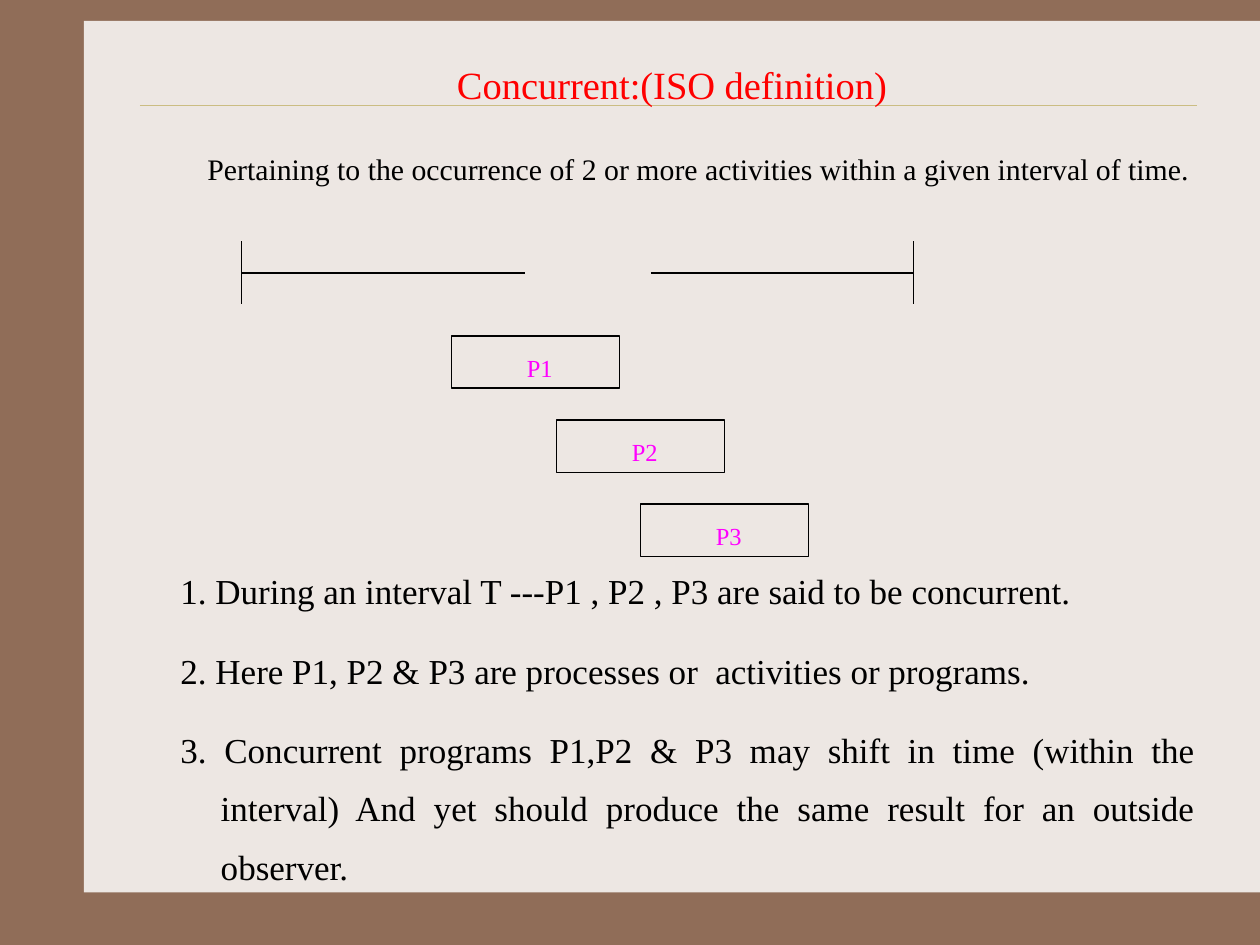
from pptx import Presentation
from pptx import util as u
from pptx.dml.color import RGBColor
from pptx.enum import shapes, text
from lxml import etree

THEME = {
    "font": "Times New Roman",
    "frame": "906D58", "panel": "EDE7E3", "rule": "CBBD83",
    "ink": "000000", "title": "FF0000", "process": "FF00FF",
    "title_size": 22, "definition_size": 17, "label_size": 14, "note_size": 20,
}

deck = Presentation()
deck.slide_width, deck.slide_height = u.Inches(10), u.Inches(7.5)
CELL = deck.slide_width // 120
page = deck.slides.add_slide(deck.slide_layouts[5])
page.background.fill.solid()
page.background.fill.fore_color.rgb = RGBColor.from_string(THEME["frame"])


def write(para, words, size, color, hanging=0):
    span = para.add_run()
    span.text = words
    span.font.name = THEME["font"]
    span.font.size = u.Pt(size)
    span.font.color.rgb = RGBColor.from_string(color)
    if hanging:
        properties = para._p.get_or_add_pPr()
        properties.set("marL", str(u.Inches(hanging)))
        properties.set("indent", str(-u.Inches(hanging)))


def draw_line(left, top, right, bottom, color, width):
    line = page.shapes.add_connector(
        shapes.MSO_CONNECTOR.STRAIGHT, *[int(n * CELL) for n in (left, top, right, bottom)])
    line.line.color.rgb = RGBColor.from_string(color)
    line.line.width = u.Pt(width)
    etree.SubElement(
        line.element.spPr, "{http://schemas.openxmlformats.org/drawingml/2006/main}effectLst")


panel = page.shapes.add_shape(
    shapes.MSO_SHAPE.RECTANGLE, 8 * CELL, 2 * CELL, 112 * CELL, 83 * CELL)
panel.shadow.inherit = False
panel.fill.solid()
panel.fill.fore_color.rgb = RGBColor.from_string(THEME["panel"])
panel.line.fill.background()
draw_line(13.33, 10, 114, 10, THEME["rule"], 0.25)

title = page.shapes.title
title.left, title.top, title.width, title.height = 19 * CELL, 6 * CELL, 90 * CELL, 4 * CELL
title.text_frame.vertical_anchor = text.MSO_ANCHOR.MIDDLE
title.text_frame.auto_size = text.MSO_AUTO_SIZE.NONE
para = title.text_frame.paragraphs[0]
para.alignment = text.PP_ALIGN.CENTER
write(para, "Concurrent:(ISO definition)", THEME["title_size"], THEME["title"])
page.shapes[-1].element.addnext(title.element)

definition = page.shapes.add_textbox(14 * CELL, 12 * CELL, 103 * CELL, 8 * CELL)
definition.text_frame.word_wrap = True
definition.text_frame.margin_left = u.Inches(0.48)
definition.text_frame.margin_top = u.Inches(0.11)
para = definition.text_frame.paragraphs[0]
para.line_spacing = 1.3
para.space_before = u.Pt(5)
write(para, "Pertaining to the occurrence of 2 or more activities within a given interval of time.",
      THEME["definition_size"], THEME["ink"])

for end, inner in ((23, 50), (87, 62)):
    draw_line(end, 23, end, 29, THEME["ink"], 1)
    draw_line(min(end, inner), 26, max(end, inner), 26, THEME["ink"], 1)

for row, (name, column) in enumerate((("P1", 43), ("P2", 53), ("P3", 61))):
    top = (32 + 8 * row) * CELL
    process = page.shapes.add_shape(
        shapes.MSO_SHAPE.RECTANGLE, column * CELL, top, 16 * CELL, 5 * CELL)
    process.shadow.inherit = False
    process.fill.background()
    process.line.color.rgb = RGBColor.from_string(THEME["ink"])
    process.line.width = u.Pt(1)
    label = page.shapes.add_textbox((column + 6) * CELL, top + CELL, 7 * CELL, 4 * CELL)
    label.text_frame.word_wrap = True
    write(label.text_frame.paragraphs[0], name, THEME["label_size"], THEME["process"])

notes = (
    ("1. During an interval T ---P1 , P2 , P3 are said to be concurrent.", text.PP_ALIGN.LEFT, 12.5),
    ("2. Here P1, P2 & P3 are processes or  activities or programs.", text.PP_ALIGN.LEFT, 12.5),
    ("3. Concurrent programs P1,P2 & P3 may shift in time (within the interval) "
     "And yet should produce the same result for an outside observer.", text.PP_ALIGN.JUSTIFY, 11.2),
)
box = page.shapes.add_textbox(16 * CELL, 52 * CELL, 99 * CELL, 33 * CELL)
box.text_frame.word_wrap = True
for index, (words, alignment, gap) in enumerate(notes):
    para = box.text_frame.add_paragraph() if index else box.text_frame.paragraphs[0]
    para.alignment = alignment
    para.line_spacing = 1.4
    para.space_before = u.Pt(gap)
    write(para, words, THEME["note_size"], THEME["ink"], hanging=0.32)

deck.save("out.pptx")
